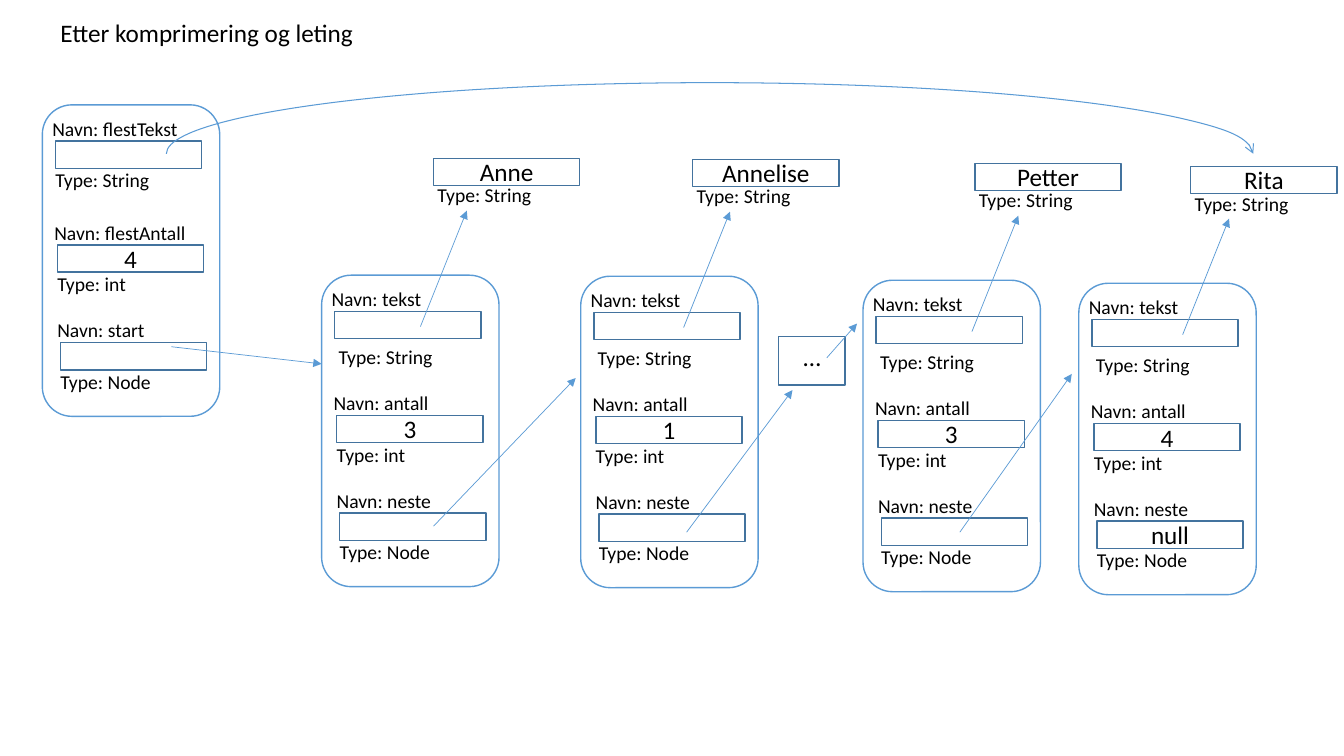
from lxml import etree
from pptx import Presentation
from pptx.dml.color import RGBColor
from pptx.enum.shapes import MSO_CONNECTOR, MSO_SHAPE
from pptx.enum.text import MSO_ANCHOR, MSO_AUTO_SIZE, PP_ALIGN
from pptx.oxml.ns import qn
from pptx.util import Inches, Pt

RECT, ROUND, ARC = MSO_SHAPE.RECTANGLE, MSO_SHAPE.ROUNDED_RECTANGLE, MSO_SHAPE.ARC
LINE = MSO_CONNECTOR.STRAIGHT
MIDDLE, CENTER = MSO_ANCHOR.MIDDLE, PP_ALIGN.CENTER
GROW = MSO_AUTO_SIZE.SHAPE_TO_FIT_TEXT
FONT = "Calibri"
HUES = {"text": "000000", "edge": "43739E", "flow": "5B9BD5"}
CELL = Inches(0.01)
COLS, ROWS = 1333, 750

deck = Presentation()
deck.slide_width, deck.slide_height = COLS * CELL, ROWS * CELL
slide = deck.slides.add_slide(deck.slide_layouts[6])
shapes = slide.shapes


def frame(kind, col, row, wide, high, hue, width=1, text=""):
    shape = shapes.add_shape(kind, col * CELL, row * CELL, wide * CELL, high * CELL)
    shape.shadow.inherit = False
    shape.fill.background()
    shape.line.color.rgb = RGBColor.from_string(HUES[hue])
    shape.line.width = Pt(width)
    if text:
        shape.text_frame.vertical_anchor = MIDDLE
        para = shape.text_frame.paragraphs[0]
        para.text, para.alignment = text, CENTER
        para.font.name, para.font.size = FONT, Pt(18)
        para.font.color.rgb = RGBColor.from_string(HUES["text"])
    return shape


def label(text, col, row, wide=171, high=34, size=14, wrap=True):
    box = shapes.add_textbox(col * CELL, row * CELL, wide * CELL, high * CELL)
    box.text_frame.word_wrap = wrap
    box.text_frame.auto_size = GROW
    para = box.text_frame.paragraphs[0]
    para.text = text
    para.font.name, para.font.size = FONT, Pt(size)
    para.font.color.rgb = RGBColor.from_string(HUES["text"])


label("Etter komprimering og leting", 50, 12, 353, 40, 18)

head = ("flestTekst", "tekst"), ("flestAntall", "antall"), ("start", "neste")
types = "String", "int", "Node"
steps = (0, 7), (2, 110), (5, 207)
words = [
    (319, 273, "Anne", "3", "", 98),
    (576, 274, "Annelise", "1", "", 102),
    (856, 278, "Petter", "3", "", 108),
    (1070, 281, "Rita", "4", "null", 103),
]
cards = [(42, 104, "", "4", "", 0)] + words
arrows = [
    (170, 344, 319, 361),
    (430, 522, 571, 375),
    (681, 528, 786, 387),
    (820, 355, 850, 321),
    (952, 528, 1063, 371),
]

for left, top, word, count, after, start in cards:
    frame(ROUND, left, top, 176, 309, "flow")
    fields = zip(head, types, ("", count, after), steps)
    for names, kind, value, (right, down) in fields:
        col, row = left + right, top + down
        shift = (7, 57) if word and kind == "String" else (3, 51)
        frame(RECT, col + 13, row + 29, 145, 27, "edge", text=value)
        label("Navn: " + names[bool(word)], col, row)
        label("Type: " + kind, col + shift[0], row + shift[1])
    if word:
        frame(RECT, left + 111, top - 116, 145, 27, "edge", text=word)
        label("Type: String", left + 105, top - 96)
        arrows.append((left + start, top + 51, left + start + 46, top - 64))

label("…", 787, 334, 32, 40, 18, False)
frame(RECT, 772, 334, 66, 48, "edge")

for ends in arrows:
    arrow = shapes.add_connector(LINE, *(end * CELL for end in ends))
    arrow.line.color.rgb = RGBColor.from_string(HUES["flow"])
    arrow.line.width = Pt(0.5)
    etree.SubElement(arrow.line._get_or_add_ln(), qn("a:tailEnd"), type="triangle")
    etree.SubElement(arrow._element.spPr, qn("a:effectLst"))

curve = frame(ARC, 165, 82, 1078, 141, "flow", 0.75)
curve.adjustments[0] = 107.99
curve.adjustments[1] = 0
etree.SubElement(curve.line._get_or_add_ln(), qn("a:tailEnd"), type="arrow")

deck.save("out.pptx")
